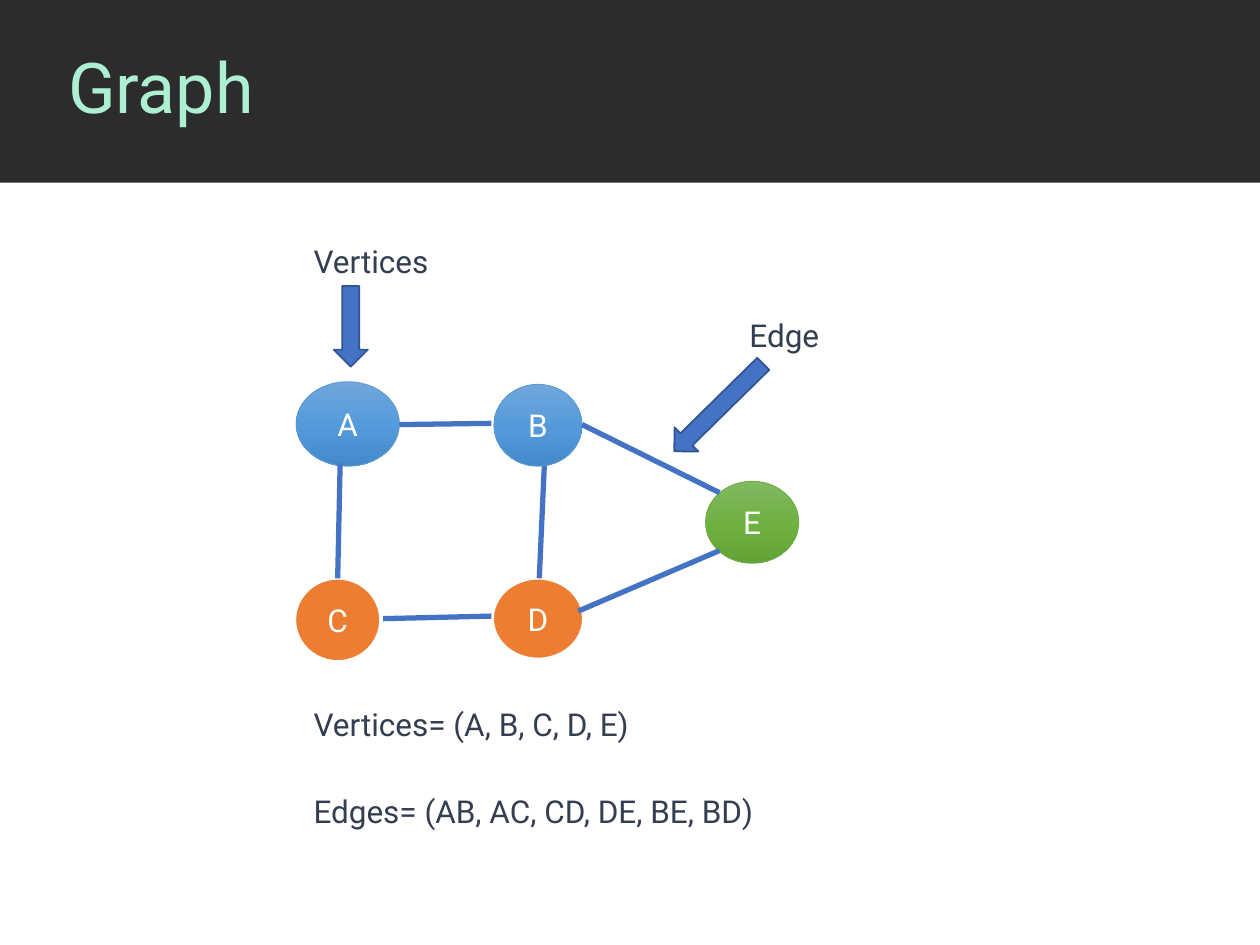
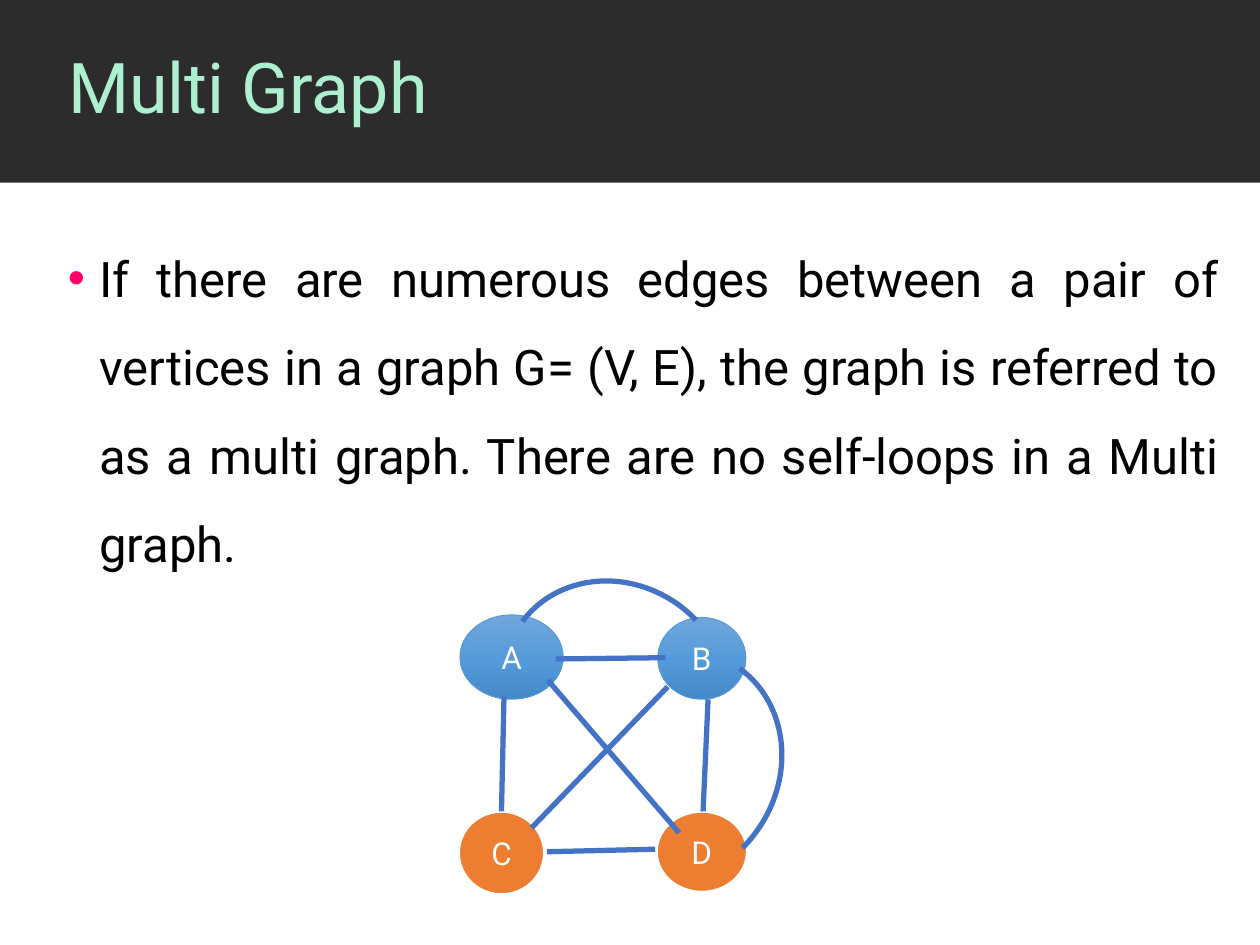
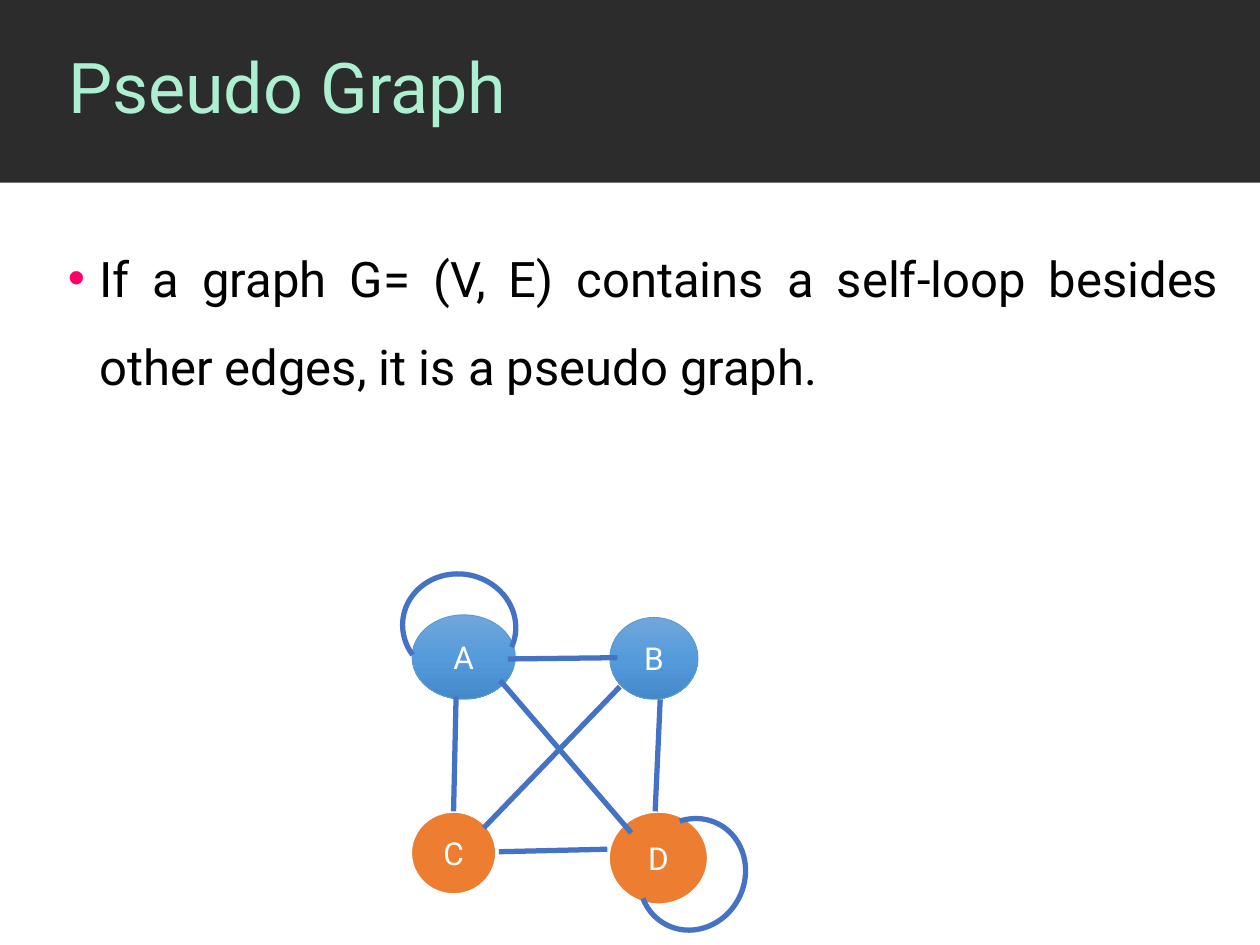
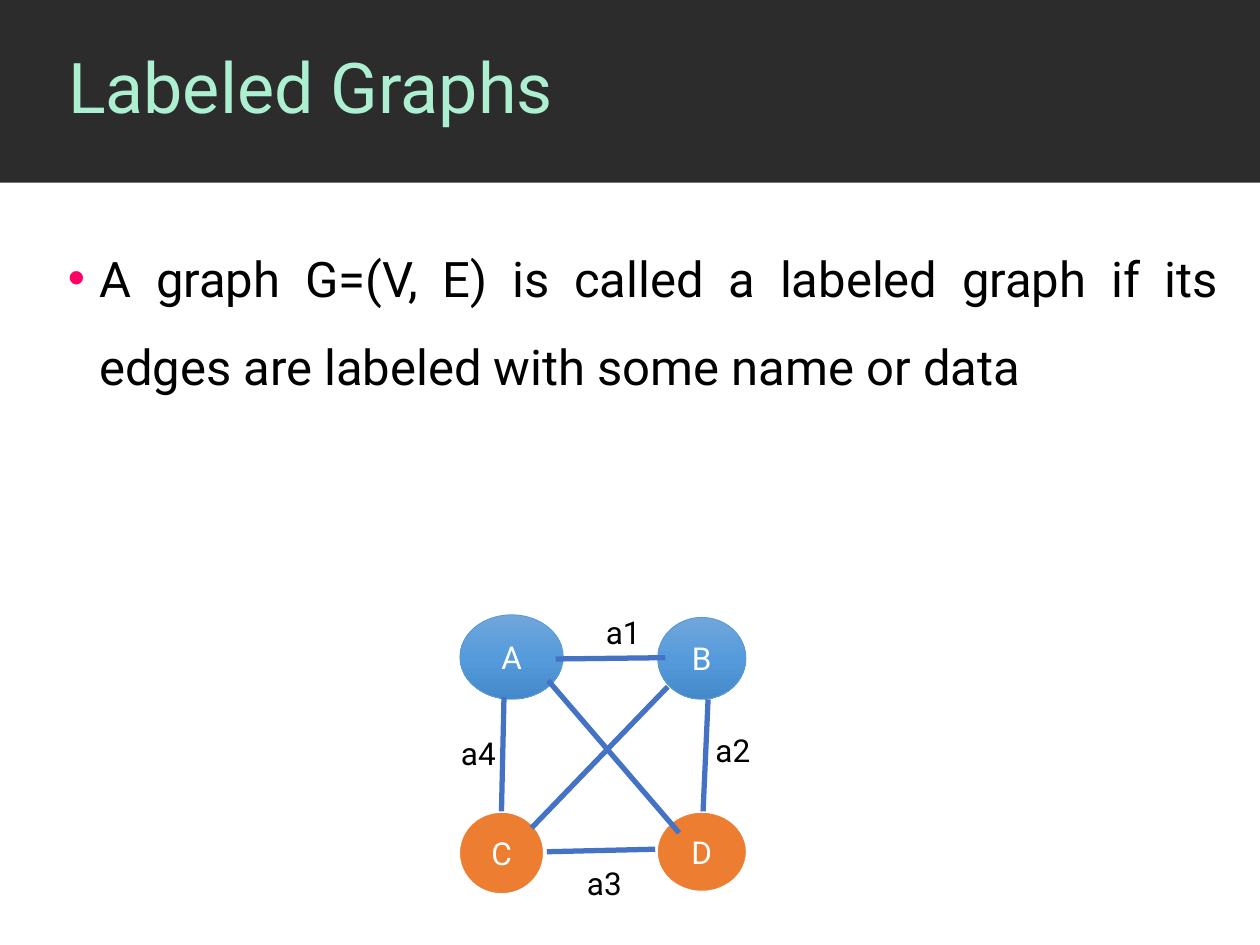
import copy

import pptx
import pptx.dml.color
import pptx.enum.shapes
import pptx.enum.text
import pptx.oxml
import pptx.oxml.ns
import pptx.util

Inches = pptx.util.Inches
Pt = pptx.util.Pt
Shape = pptx.enum.shapes.MSO_SHAPE
Align = pptx.enum.text.PP_ALIGN
Anchor = pptx.enum.text.MSO_ANCHOR
AutoSize = pptx.enum.text.MSO_AUTO_SIZE

FONT = "Roboto"
BAND, MINT, WHITE, BLACK = "2C2C2C", "ADF0D1", "FFFFFF", "000000"
SLATE, EDGE, ARROW_LINE, PINK = "333F50", "4472C4", "325491", "FF0066"
BLUE = {"fill": ["71A6DB", "559BDB", "448ACA"], "line": "5B9BD5", "width": 0.5}
GREEN = {"fill": ["81B861", "6FB242", "62A336"], "line": "70AD47", "width": 0.5}
ORANGE = {"fill": ["ED7D31"], "line": WHITE, "width": 1.5}

SQUARE_NODES = {
    "D": (1.57, 1.56, 0.72, 0.64, ORANGE),
    "B": (1.58, 0.02, 0.7, 0.65, BLUE),
    "C": (0, 1.56, 0.68, 0.66, ORANGE),
    "A": (0.01, 0, 0.82, 0.67, BLUE),
}
SQUARE_EDGES = {
    "AC": (0.36, 0.65, 0.34, 1.56),
    "BD": (1.98, 0.67, 1.94, 1.56),
    "CD": (1.56, 1.86, 0.7, 1.88),
    "AB": (1.64, 0.34, 0.77, 0.35),
}
DIAGONALS = {
    "AD": (1.75, 1.73, 0.71, 0.52),
    "BC": (1.66, 0.57, 0.58, 1.69),
}


def rgb(value):
    return pptx.dml.color.RGBColor.from_string(value)


def apply(target, values):
    for name, value in values.items():
        setattr(target, name, value)


def write(frame, text, size, color, **paragraph_format):
    frame.text = text
    paragraph = frame.paragraphs[0]
    apply(paragraph, paragraph_format)
    font = paragraph.runs[0].font
    apply(font, {"name": FONT, "size": Pt(size)})
    font.color.rgb = rgb(color)
    return paragraph


def set_line(line, color, width):
    line.color.rgb = rgb(color)
    line.width = Pt(width)


def add_preset(slide, kind, left, top, width, height, rotation=0):
    shape = slide.shapes.add_shape(kind, Inches(left), Inches(top), Inches(width), Inches(height))
    shape.shadow.inherit = False
    shape.rotation = rotation
    return shape


def add_label(slide, left, top, width, text, color, wrap=True):
    label = slide.shapes.add_textbox(Inches(left), Inches(top), Inches(width), Inches(0.4))
    apply(label.text_frame, {"word_wrap": wrap, "auto_size": AutoSize.SHAPE_TO_FIT_TEXT})
    write(label.text_frame, text, 18, color)


def fill_gradient(shape, colors):
    shape.fill.gradient()
    shape.fill.gradient_angle = 270
    stops = next(shape.element.iter(pptx.oxml.ns.qn("a:gsLst")))
    stops.insert(1, copy.deepcopy(stops[0]))
    for index, (stop, color) in enumerate(zip(shape.fill.gradient_stops, colors)):
        stop.position = index / 2
        stop.color.rgb = rgb(color)


def add_node(slide, name, left, top, width, height, style):
    node = add_preset(slide, Shape.OVAL, left, top, width, height)
    if len(style["fill"]) > 1:
        fill_gradient(node, style["fill"])
    else:
        node.fill.solid()
        node.fill.fore_color.rgb = rgb(style["fill"][0])
    set_line(node.line, style["line"], style["width"])
    node.text_frame.vertical_anchor = Anchor.MIDDLE
    write(node.text_frame, name, 18, WHITE, alignment=Align.CENTER)


def add_edge(slide, x1, y1, x2, y2):
    edge = slide.shapes.add_connector(
        pptx.enum.shapes.MSO_CONNECTOR.STRAIGHT, Inches(x1), Inches(y1), Inches(x2), Inches(y2))
    set_line(edge.line, EDGE, 3)
    edge.element.spPr.append(pptx.oxml.parse_xml(
        f'<a:effectLst {pptx.oxml.ns.nsdecls("a")}/>'))


def add_graph(slide, left, top, nodes, edges):
    for name, (x, y, width, height, style) in nodes.items():
        add_node(slide, name, left + x, top + y, width, height, style)
    for x1, y1, x2, y2 in edges.values():
        add_edge(slide, left + x1, top + y1, left + x2, top + y2)


def add_arc(slide, left, top, width, height, rotation, start, end):
    arc = add_preset(slide, Shape.ARC, left, top, width, height, rotation)
    arc.fill.background()
    set_line(arc.line, EDGE, 3)
    arc.adjustments[0], arc.adjustments[1] = start, end


def add_arrow(slide, left, top, height, rotation=0):
    arrow = add_preset(slide, Shape.DOWN_ARROW, left, top, 0.27, height, rotation)
    arrow.fill.solid()
    arrow.fill.fore_color.rgb = rgb(EDGE)
    set_line(arrow.line, ARROW_LINE, 1)


def add_band(layout, slide):
    band = add_preset(slide, Shape.RECTANGLE, 0, 0, 10, 1.45)
    band.fill.solid()
    band.fill.fore_color.rgb = rgb(BAND)
    band.line.fill.background()
    layout.shapes.element.insert(2, band.element)


def add_slide(deck, heading):
    layout = deck.slide_layouts[5]
    slide = deck.slides.add_slide(layout)
    if len(deck.slides) == 1:
        add_band(layout, slide)
    title = slide.shapes.title
    apply(title, {"left": Inches(0.44), "top": Inches(0),
                  "width": Inches(9.56), "height": Inches(1.44)})
    apply(title.text_frame, {"word_wrap": True, "auto_size": AutoSize.NONE,
                             "vertical_anchor": Anchor.MIDDLE})
    write(title.text_frame, heading, 40, MINT, alignment=Align.LEFT, line_spacing=0.9)
    return slide


def add_definition(slide, text):
    body = slide.shapes.add_textbox(Inches(0.44), Inches(1.69), Inches(9.33), Inches(5.6))
    body.text_frame.word_wrap = True
    paragraph = write(body.text_frame, text, 28, BLACK,
                      alignment=Align.JUSTIFY, line_spacing=1.5)
    properties = paragraph._p.get_or_add_pPr()
    properties.set("marL", str(Inches(0.25)))
    properties.set("indent", str(Inches(-0.25)))
    namespace = pptx.oxml.ns.nsdecls("a")
    for bullet in (f'<a:buClr {namespace}><a:srgbClr val="{PINK}"/></a:buClr>',
                   f'<a:buFont {namespace} typeface="Arial"/>',
                   f'<a:buChar {namespace} char="•"/>'):
        properties.append(pptx.oxml.parse_xml(bullet))


def build_graph(deck):
    slide = add_slide(deck, "Graph")
    left, top = 2.34, 3.03
    nodes = SQUARE_NODES | {"E": (3.26, 0.79, 0.74, 0.65, GREEN)}
    edges = SQUARE_EDGES | {
        "AB": (1.56, 0.33, 0.83, 0.34),
        "BE": (2.28, 0.34, 3.37, 0.88),
        "DE": (3.37, 1.34, 2.25, 1.82),
    }
    add_graph(slide, left, top, nodes, edges)
    for x, y, width, text in (
            (0.05, -1.16, 1.28, "Vertices"),
            (3.51, -0.57, 0.97, "Edge"),
            (0.05, 3.21, 5.27, "Edges= (AB, AC, CD, DE, BE, BD)"),
            (0.05, 2.52, 3.21, "Vertices= (A, B, C, D, E)")):
        add_label(slide, left + x, top + y, width, text, SLATE)
    add_arrow(slide, left + 0.31, top - 0.76, 0.64)
    add_arrow(slide, left + 3.23, top - 0.29, 0.99, 45.5)


def build_square_graph(deck, heading, definition, left, nodes=SQUARE_NODES, arcs=(), labels=()):
    slide = add_slide(deck, heading)
    add_definition(slide, definition)
    top = 4.88
    add_graph(slide, left, top, nodes, SQUARE_EDGES | DIAGONALS)
    for x, y, *arc in arcs:
        add_arc(slide, left + x, top + y, *arc)
    for x, y, text in labels:
        add_label(slide, left + x, top + y, 0.48, text, BLACK, wrap=False)


def main():
    deck = pptx.Presentation()
    apply(deck, {"slide_width": Inches(10), "slide_height": Inches(7.5)})
    build_graph(deck)
    build_square_graph(
        deck, "Multi Graph",
        "If there are numerous edges between a pair of vertices in a graph G= (V, E), "
        "the graph is referred to as a multi graph. There are no self-loops in a Multi graph.",
        3.64,
        arcs=((0.79, 0.24, 1.74, 1.94, 36, 162, 6.7),
              (0.4, -0.32, 1.7, 1.86, 306.9, 162, 6.7)))
    build_square_graph(
        deck, "Pseudo Graph",
        "If a graph G= (V, E) contains a self-loop besides other edges, it is a pseudo graph.",
        3.26,
        nodes=SQUARE_NODES | {"D": (1.57, 1.56, 0.79, 0.74, ORANGE)},
        arcs=((-0.03, -0.36, 0.83, 0.9, 278.9, 137.7, 61.67),
              (1.82, 1.61, 0.83, 0.9, 27.2, 137.7, 76.19)))
    build_square_graph(
        deck, "Labeled Graphs",
        "A graph G=(V, E) is called a labeled graph if its edges are labeled "
        "with some name or data",
        3.64,
        labels=((1.07, -0.06, "a1"), (-0.08, 0.9, "a4"),
                (0.92, 1.93, "a3"), (1.94, 0.87, "a2")))
    deck.save("out.pptx")


if __name__ == "__main__":
    main()
